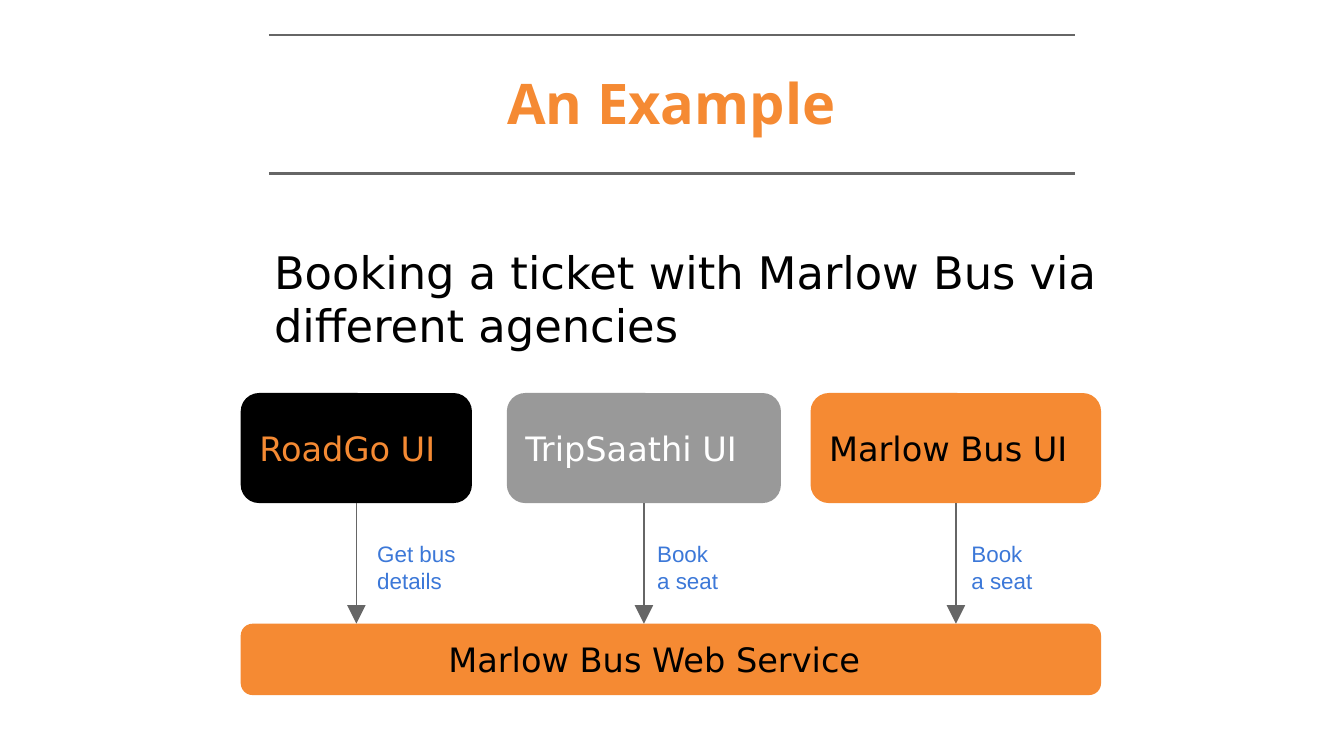
from lxml.etree import SubElement
from pptx import Presentation
from pptx.dml.color import RGBColor
from pptx.enum.shapes import MSO_CONNECTOR as Connector, MSO_SHAPE as Shape
from pptx.enum.text import MSO_ANCHOR as Anchor, PP_ALIGN as Align
from pptx.oxml.ns import qn
from pptx.util import Cm, Pt

ORANGE, BLACK, GRAY = "F58A33", "000000", "666666"


def write(shape, text, font, size, color, anchor=Anchor.TOP, align=Align.LEFT, bold=False):
    frame = shape.text_frame
    frame.text = text
    frame.word_wrap = True
    frame.vertical_anchor = anchor
    frame.margin_left = frame.margin_right = Cm(0.25)
    frame.margin_top = frame.margin_bottom = Cm(0.25)
    for paragraph in frame.paragraphs:
        paragraph.alignment = align
        for run in paragraph.runs:
            run.font.name = font
            run.font.size = Pt(size)
            run.font.bold = bold
            run.font.color.rgb = RGBColor.from_string(color)


def add_line(x1, y1, x2, y2, width):
    connector = slide.shapes.add_connector(Connector.STRAIGHT, x1, y1, x2, y2)
    connector.line.color.rgb = RGBColor.from_string(GRAY)
    connector.line.width = Pt(width)
    SubElement(connector._element.spPr, qn("a:effectLst"))
    return connector


presentation = Presentation()
presentation.slide_width = Cm(25.4)
presentation.slide_height = Cm(14.29)
slide = presentation.slides.add_slide(presentation.slide_layouts[6])

for y in (0.66, 3.28):
    add_line(Cm(5.08), Cm(y), Cm(20.32), Cm(y), 1.5)

title = slide.shapes.add_textbox(Cm(4.93), Cm(0.76), Cm(15.52), Cm(2.36))
write(title, "An Example", "Open Sans", 30, ORANGE, Anchor.MIDDLE, Align.CENTER, True)

body = slide.shapes.add_textbox(Cm(4.93), Cm(4.37), Cm(16.51), Cm(2.16))
write(body, "Booking a ticket with Marlow Bus via different agencies", "DejaVu Sans", 24, BLACK)

boxes = [
    ("RoadGo UI", 4.55, 4.37, BLACK, ORANGE),
    ("TripSaathi UI", 9.58, 5.18, "999999", "FFFFFF"),
    ("Marlow Bus UI", 15.32, 5.49, ORANGE, BLACK),
    ("Marlow Bus Web Service", 4.55, 16.26, ORANGE, BLACK),
]
shapes = []
for text, left, width, fill, color in boxes:
    top, height = (11.79, 1.35) if "Service" in text else (7.43, 2.08)
    shape = slide.shapes.add_shape(
        Shape.ROUNDED_RECTANGLE, Cm(left), Cm(top), Cm(width), Cm(height))
    shape.shadow.inherit = False
    shape.fill.solid()
    shape.fill.fore_color.rgb = RGBColor.from_string(fill)
    shape.line.fill.background()
    write(shape, text, "DejaVu Sans", 18, color, Anchor.MIDDLE)
    shapes.append(shape)

*agencies, service = shapes
service.text_frame.margin_left = Cm(3.86)

labels = [
    ("Get bus details", 6.88, 2.13),
    ("Book\na seat", 12.17, 1.7),
    ("Book\na seat", 18.11, 1.7),
]
for agency, (text, left, width) in zip(agencies, labels):
    center = agency.left + agency.width // 2
    arrow = add_line(center, agency.top + agency.height, center, service.top, 0.75)
    arrow.begin_connect(agency, 2)
    SubElement(arrow.line._get_or_add_ln(), qn("a:tailEnd"), type="triangle", w="lg", len="lg")
    label = slide.shapes.add_textbox(Cm(left), Cm(9.96), Cm(width), Cm(1.35))
    write(label, text, "Arial", 12, "3C78D8")

presentation.save("out.pptx")
